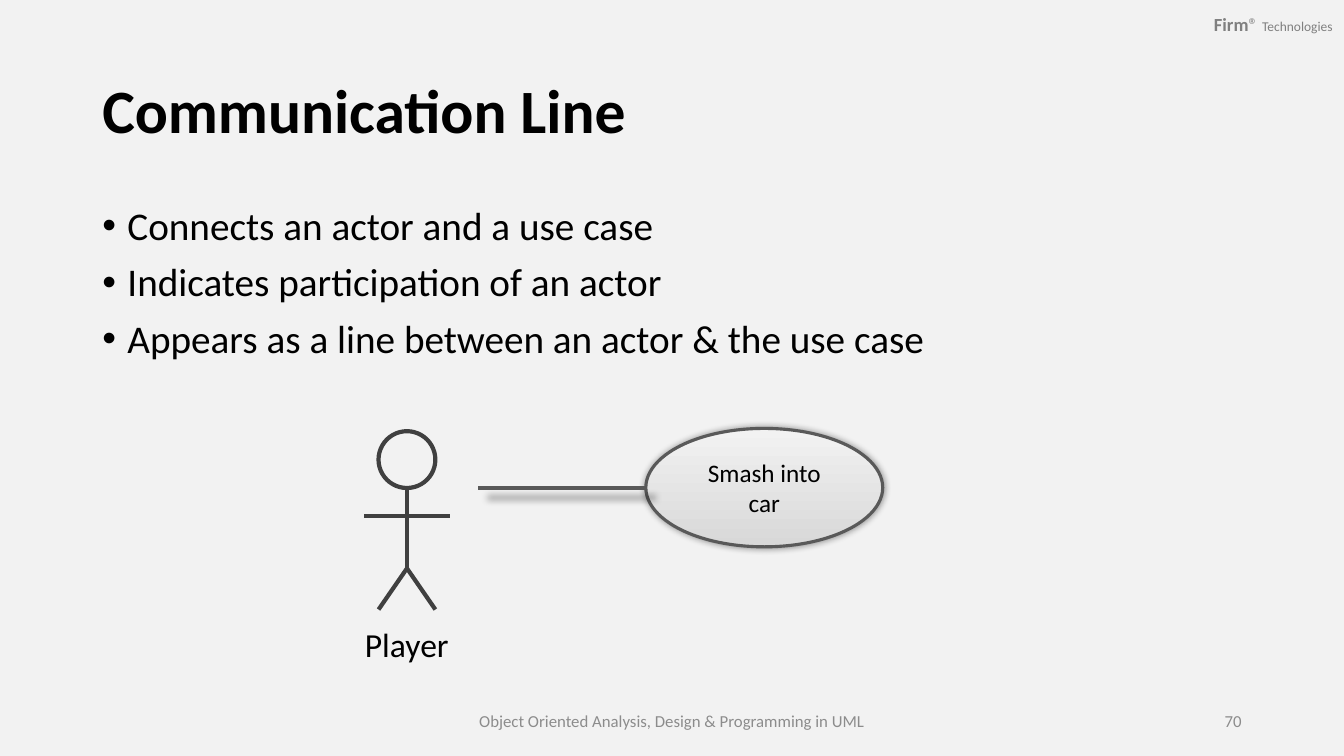
"""Build the Communication Line slide: bullets above an actor joined to a use case."""
from lxml import etree
from pptx import Presentation
from pptx import util as u
from pptx.dml import color
from pptx.enum import shapes, text
from pptx.oxml import ns

ALIGN = text.PP_ALIGN
ANCHOR = text.MSO_ANCHOR
BLACK, GREY, FOOTER_GREY = "000000", "808080", "8C8C8C"
ACTOR_LINE, CASE_LINE = "404040", "595959"
BACKGROUND, GRADIENT = "F2F2F2", ("D8D8D8", "F2F2F2")
SLIDE_SIZE = (960, 540)

BULLETS = [
    "Connects an actor and a use case",
    "Indicates participation of an actor",
    "Appears as a line between an actor & the use case",
]
LABELS = [
    {"box": (821.5, 0.7, 139, 32.4), "paragraphs": [[("Firm", 13.2, True), ("® ", 13.2, False),
     ("Technologies", 9.6, False)]], "color": GREY, "anchor": ANCHOR.MIDDLE,
     "margins": (8.64, 4.32), "format": {"alignment": ALIGN.RIGHT}},
    {"box": (66, 28.8, 828, 104.4), "paragraphs": [[("Communication Line", 44, True)]],
     "anchor": ANCHOR.MIDDLE, "format": {"line_spacing": 0.9}},
    {"box": (66, 144, 828, 132.5), "paragraphs": [[(line, 28, False)] for line in BULLETS],
     "bullet": "•", "gap": 10, "format": {"line_spacing": 0.9}},
    {"box": (243.4, 442, 94.3, 36), "paragraphs": [[("Player", 24, False)]],
     "format": {"alignment": ALIGN.CENTER}},
    {"box": (318, 500.5, 324, 28.8), "color": FOOTER_GREY, "anchor": ANCHOR.MIDDLE,
     "paragraphs": [[("Object Oriented Analysis, Design & Programming in UML", 12, False)]],
     "format": {"alignment": ALIGN.CENTER}},
    {"box": (678, 500.5, 216, 28.8), "color": FOOTER_GREY, "anchor": ANCHOR.MIDDLE,
     "paragraphs": [[("70", 12, False)]], "format": {"alignment": ALIGN.RIGHT}},
]
USE_CASE = {"paragraphs": [[("Smash into car", 18, False)]], "anchor": ANCHOR.MIDDLE,
            "format": {"alignment": ALIGN.CENTER}}
CASE_BOX = (461.3, 306, 169.2, 84.6)
LINK_START = 341.5
ACTOR = {"center": 290.7, "top": 308, "head": 40.6, "hip": 406, "foot": 435.4,
         "arm_y": 368.4, "reach": 30.5}


def rgb(value):
    return color.RGBColor.from_string(value)


def points(values):
    return [u.Pt(value) for value in values]


def apply(target, values):
    for name, value in values.items():
        setattr(target, name, value)


def write(frame, label):
    side, end = label.get("margins", (7.2, 3.6))
    apply(frame, {"word_wrap": True, "vertical_anchor": label.get("anchor", ANCHOR.TOP),
                  "margin_left": u.Pt(side), "margin_right": u.Pt(side),
                  "margin_top": u.Pt(end), "margin_bottom": u.Pt(end)})
    for index, runs in enumerate(label["paragraphs"]):
        paragraph = frame.add_paragraph() if index else frame.paragraphs[0]
        apply(paragraph, label["format"])
        if index:
            paragraph.space_before = u.Pt(label.get("gap", 0))
        if "bullet" in label:
            properties = paragraph._p.get_or_add_pPr()
            properties.set("marL", str(u.Pt(18)))
            properties.set("indent", str(u.Pt(-18)))
            etree.SubElement(properties, ns.qn("a:buFont"), typeface="Arial")
            etree.SubElement(properties, ns.qn("a:buChar"), char=label["bullet"])
        for words, size, bold in runs:
            run = paragraph.add_run()
            run.text = words
            apply(run.font, {"name": "Calibri", "size": u.Pt(size), "bold": bold})
            run.font.color.rgb = rgb(label.get("color", BLACK))


def cast(shape, distance=None):
    effects = etree.SubElement(shape._element.spPr, ns.qn("a:effectLst"))
    if distance is not None:
        shadow = etree.SubElement(effects, ns.qn("a:outerShdw"), blurRad=str(u.Pt(5)),
                                  dist=str(u.Pt(distance)), dir="2700000", rotWithShape="0")
        shade = etree.SubElement(shadow, ns.qn("a:srgbClr"), val=BLACK)
        etree.SubElement(shade, ns.qn("a:alpha"), val="40000")


def outline(shape, tint, width):
    shape.line.color.rgb = rgb(tint)
    shape.line.width = u.Pt(width)


def draw_line(slide, ends, tint, distance=None):
    stroke = slide.shapes.add_connector(shapes.MSO_CONNECTOR.STRAIGHT, *points(ends))
    outline(stroke, tint, 3)
    cast(stroke, distance)


def draw_actor(slide):
    center, top, size, hip, foot, arm_y, reach = ACTOR.values()
    radius = size / 2
    head = slide.shapes.add_shape(shapes.MSO_SHAPE.OVAL,
                                  *points((center - radius, top, size, size)))
    head.fill.background()
    outline(head, ACTOR_LINE, 3)
    cast(head)
    body = (center, top + size, center, hip)
    arms = (center - reach, arm_y, center + reach, arm_y)
    legs = [(center, hip, center + side * radius, foot) for side in (1, -1)]
    for limb in (body, arms, *legs):
        draw_line(slide, limb, ACTOR_LINE)


def draw_use_case(slide):
    left, top, _, height = CASE_BOX
    middle = top + height / 2
    oval = slide.shapes.add_shape(shapes.MSO_SHAPE.OVAL, *points(CASE_BOX))
    oval.fill.gradient()
    oval.fill.gradient_angle = 90
    for stop, tint in zip(oval.fill.gradient_stops, GRADIENT):
        stop.color.rgb = rgb(tint)
    outline(oval, CASE_LINE, 2.25)
    cast(oval, 0)
    write(oval.text_frame, USE_CASE)
    draw_line(slide, (left, middle, LINK_START, middle), CASE_LINE, 10)


def main():
    deck = Presentation()
    deck.slide_width, deck.slide_height = points(SLIDE_SIZE)
    slide = deck.slides.add_slide(deck.slide_layouts[6])
    slide.background.fill.solid()
    slide.background.fill.fore_color.rgb = rgb(BACKGROUND)
    for label in LABELS:
        write(slide.shapes.add_textbox(*points(label["box"])).text_frame, label)
    draw_actor(slide)
    draw_use_case(slide)
    deck.save("out.pptx")


if __name__ == "__main__":
    main()
